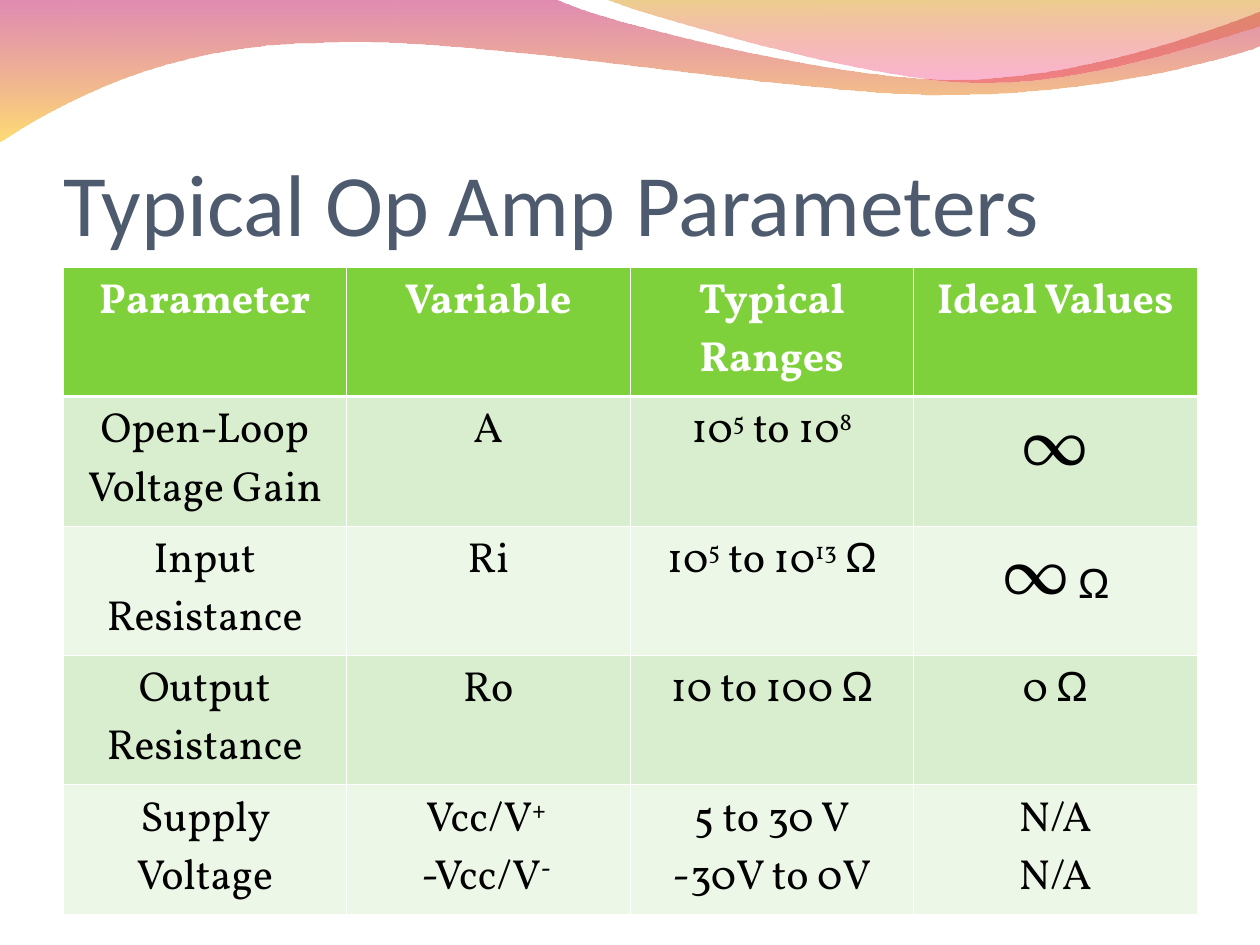
"""Build the slide of typical op amp parameters: title, table and wave band."""
from itertools import groupby

from lxml import etree
from pptx import Presentation
from pptx.dml.color import RGBColor
from pptx.enum import text
from pptx.oxml.ns import qn
from pptx.util import Inches, Pt

TITLE = "Typical Op Amp Parameters"
HEADER = ["Parameter", "Variable", "Typical Ranges", "Ideal Values"]
ROWS = [
    ["Open-Loop Voltage Gain", "A", "10^5^ to 10^8", "∞"],
    ["Input Resistance", "Ri", "10^5^ to 10^13^ Ω", "∞ Ω"],
    ["Output Resistance", "Ro", "10 to 100 Ω", "0 Ω"],
    ["Supply Voltage", "Vcc/V^+ \n-Vcc/V^- ", "5 to 30 V\n-30V to 0V", "N/A\nN/A"],
]
ROW_HEIGHTS = [0.9, 1, 1, 1, 0.9]
COLUMN_WIDTH = 2.25

WAVES = [
    {
        "start": (0, -0.01),
        "segments": [
            [(4.4, -0.01)],
            [(4.76, 0.17), (6.64, 0.63), (7.58, 0.63)],
            [(8.53, 0.63), (9.58, 0.26), (10, 0.09)],
            [(10.01, 0.36)],
            [(9.83, 0.44), (8.7, 0.76), (7.46, 0.75)],
            [(6.22, 0.75), (3.82, 0.28), (2.57, 0.34)],
            [(1.29, 0.35), (0.46, 0.83), (-0.01, 1.13)],
            [(0, -0.01)],
        ],
        "stops": [("BC0057", 45), ("FFC000", 55)],
    },
    {
        "start": (4.79, -0.01),
        "segments": [
            [(5.09, 0.11), (6.82, 0.62), (7.69, 0.65)],
            [(8.56, 0.69), (9.61, 0.32), (10, 0.21)],
            [(10, 0)],
            [(4.79, -0.01)],
        ],
        "stops": [("D69200", 45), ("F40069", 30)],
    },
]

THEME = {
    "title": {"name": "Calibri", "size": Pt(50), "bold": False, "color": "4E5B6F"},
    "header": {"name": "Vollkorn", "size": Pt(24), "bold": True, "color": "FFFFFF"},
    "body": {"name": "Vollkorn", "size": Pt(24), "bold": False, "color": "000000"},
    "symbols": {"∞": {"size": Pt(40)}, "Ω": {"name": "Arial"}},
    "header_fill": "7FD13B",
    "bands": ["D8EECE", "ECF7E8"],
    "border": "FFFFFF",
    "thin": 0.45,
    "thick": 1.47,
}


def apply(target, values):
    for name, value in values.items():
        if name == "color":
            target.color.rgb = RGBColor.from_string(value)
        else:
            setattr(target, name, value)


def bend(shape, segments):
    lines = iter(list(shape._element.iter(qn("a:lnTo"))))
    for segment in segments:
        first, *others = [next(lines) for _ in segment]
        if others:
            first.tag = qn("a:cubicBezTo")
        for line in others:
            first.append(line[0])
            line.getparent().remove(line)


def add_wave(page, wave):
    points = [wave["start"], *(point for segment in wave["segments"] for point in segment)]
    first, *rest = [(Inches(x), Inches(y)) for x, y in points]
    builder = page.shapes.build_freeform(*first)
    builder.add_line_segments(rest, close=True)
    shape = builder.convert_to_shape()
    bend(shape, wave["segments"])
    shape.shadow.inherit = False
    shape.line.fill.background()
    shape.fill.gradient()
    shape.fill.gradient_angle = 270
    for stop, (color, _) in zip(shape.fill.gradient_stops, wave["stops"]):
        stop.color.rgb = RGBColor.from_string(color)
    colors = shape._element.spPr.iter(qn("a:srgbClr"))
    for element, (_, opacity) in zip(colors, wave["stops"]):
        etree.SubElement(element, qn("a:alpha"), val=str(opacity * 1000))


def add_title(page):
    title = page.shapes.title
    page.shapes._spTree.append(title._element)
    apply(title, {"left": Inches(0.5), "top": Inches(0.77),
                  "width": Inches(9), "height": Inches(1.25)})
    frame = title.text_frame
    apply(frame, {"text": TITLE, "word_wrap": True, "auto_size": text.MSO_AUTO_SIZE.NONE,
                  "vertical_anchor": text.MSO_ANCHOR.BOTTOM, "margin_left": 0,
                  "margin_top": Inches(0.05), "margin_right": 0, "margin_bottom": 0})
    para = frame.paragraphs[0]
    para.alignment = text.PP_ALIGN.LEFT
    apply(para.runs[0].font, THEME["title"])


def write_line(para, line, style):
    para.alignment = text.PP_ALIGN.CENTER
    symbols = THEME["symbols"]
    for index, part in enumerate(line.split("^")):
        for symbol, letters in groupby(part, lambda c: c if c in symbols else None):
            span = para.add_run()
            span.text = "".join(letters)
            apply(span.font, {**style, **symbols.get(symbol, {})})
            if index % 2:
                span.font.bold = span.text.strip() in ("+", "-")
                span._r.get_or_add_rPr().set("baseline", "30000")


def add_border(cell, side, width):
    line = etree.SubElement(cell._tc.get_or_add_tcPr(), qn(f"a:ln{side}"), w=str(Pt(width)))
    fill = etree.SubElement(line, qn("a:solidFill"))
    etree.SubElement(fill, qn("a:srgbClr"), val=THEME["border"])


def fill_cell(cell, content, row):
    for side in "LRTB":
        thick = (row, side) in ((0, "B"), (1, "T"))
        add_border(cell, side, THEME["thick" if thick else "thin"])
    cell.fill.solid()
    color = THEME["bands"][(row - 1) % 2] if row else THEME["header_fill"]
    cell.fill.fore_color.rgb = RGBColor.from_string(color)
    frame = cell.text_frame
    for index, line in enumerate(content.split("\n")):
        para = frame.add_paragraph() if index else frame.paragraphs[0]
        write_line(para, line, THEME["body" if row else "header"])


def add_parameters(page):
    rows = [HEADER, *ROWS]
    table = page.shapes.add_table(
        len(rows), len(HEADER), Inches(0.5), Inches(2.12),
        Inches(COLUMN_WIDTH * len(HEADER)), Inches(sum(ROW_HEIGHTS))).table
    for column in table.columns:
        column.width = Inches(COLUMN_WIDTH)
    for row, (contents, height) in enumerate(zip(rows, ROW_HEIGHTS)):
        table.rows[row].height = Inches(height)
        for column, content in enumerate(contents):
            fill_cell(table.cell(row, column), content, row)


def main():
    deck = Presentation()
    apply(deck, {"slide_width": Inches(10), "slide_height": Inches(7.5)})
    page = deck.slides.add_slide(deck.slide_layouts.get_by_name("Title Only"))
    for wave in WAVES:
        add_wave(page, wave)
    add_title(page)
    add_parameters(page)
    deck.save("out.pptx")


if __name__ == "__main__":
    main()
